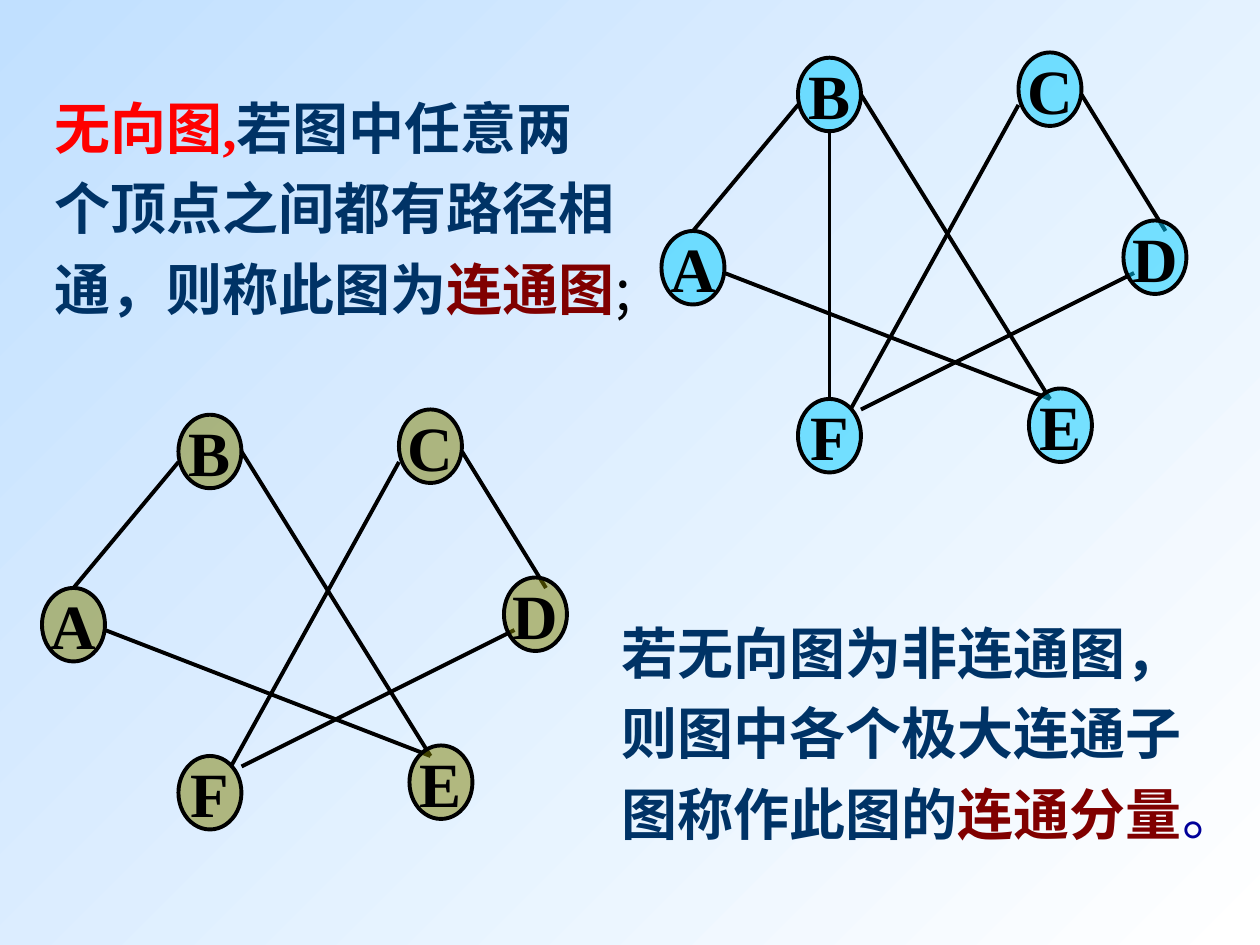
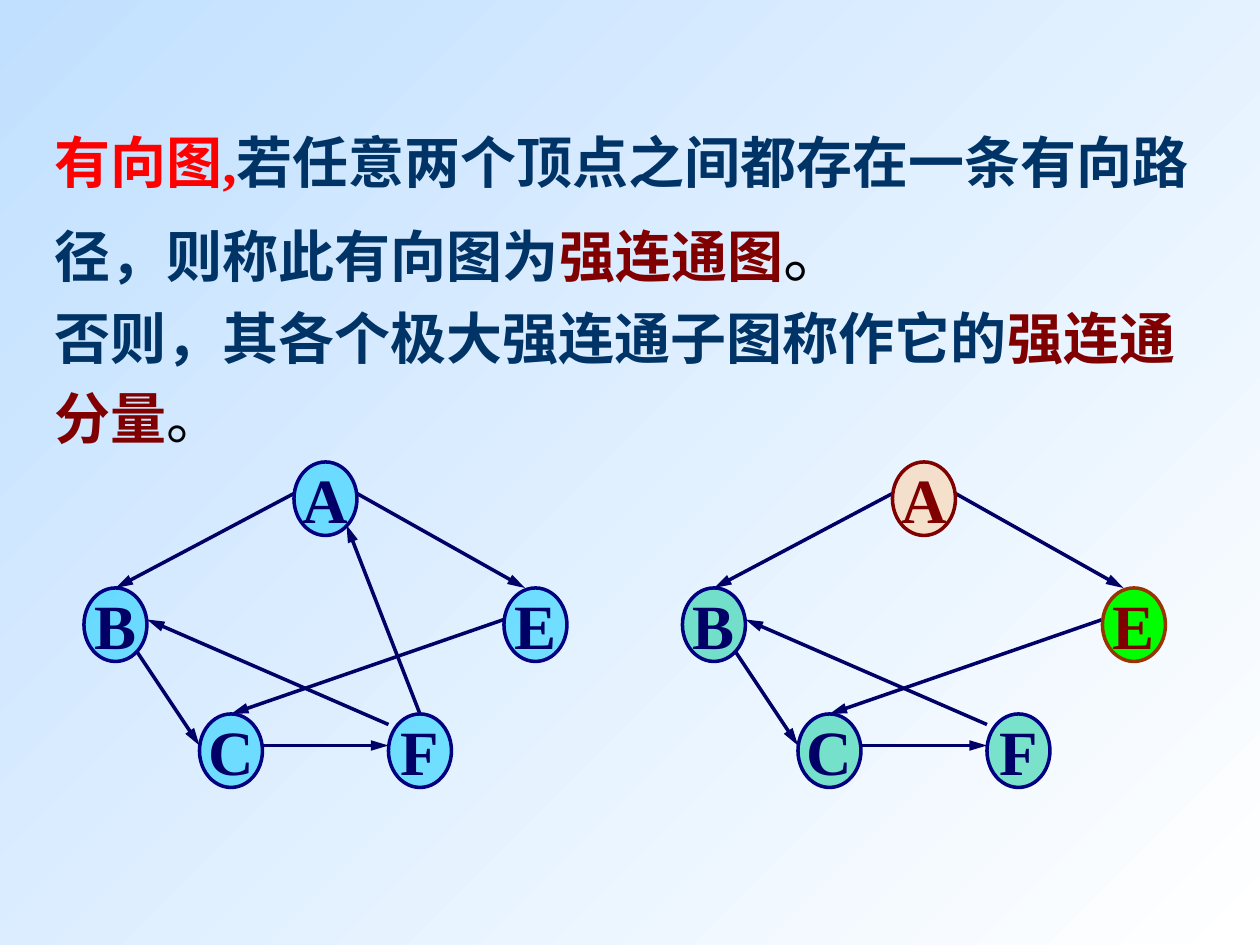
from dataclasses import dataclass

from lxml import etree
from pptx import Presentation
from pptx import util as u
from pptx.dml import color
from pptx.enum import shapes, text
from pptx.oxml import ns


@dataclass(frozen=True)
class Theme:
    latin: str = "Times New Roman"
    chinese: str = "Noto Sans CJK SC"
    white: str = "FFFFFF"
    sky: str = "C1E0FF"
    black: str = "000000"
    red: str = "FF0000"
    body: str = "003366"
    term: str = "800000"
    stop: str = "000099"
    ink: str = "000066"
    navy: str = "000080"
    cyan: str = "00CCFF"
    olive: str = "808000"
    teal: str = "00CC99"
    peach: str = "FFCC99"
    green: str = "00FF00"
    rust: str = "993300"
    body_size: int = 32
    node_size: int = 36


@dataclass(frozen=True)
class NodeStyle:
    fill: str
    line: str
    ink: str
    width: float = 2
    alpha: int = 50


THEME = Theme()
CELL = u.Inches(1) / 12
NODE_COLUMNS, NODE_ROWS = 6, 7

UNDIRECTED_NODES = {"A": (0, 17), "B": (13, 0.5), "C": (34, 0),
                    "D": (44, 16), "E": (35, 32), "F": (13, 33)}
UNDIRECTED_EDGES = {
    "AB": (3, 17, 13, 5), "BE": (19, 4, 37, 33), "AE": (6, 21, 37, 33),
    "CF": (34, 5, 18, 34), "CD": (40, 4, 48, 17), "DF": (45, 21, 19, 34),
    "BF": (16, 7.5, 16, 33),
}
DIRECTED_NODES = {"A": (20, 0), "B": (0, 12), "C": (11, 24), "E": (40, 12), "F": (29, 24)}
DIRECTED_EDGES = {
    "AB": (20, 3, 3, 12), "BC": (5, 18, 11, 27), "CF": (17, 27, 29, 27),
    "FA": (32, 24, 25, 6), "AE": (26, 3, 42, 12), "FB": (29, 25, 6, 15),
    "EC": (40, 15, 14, 24),
}


def rgb(value):
    return color.RGBColor.from_string(value)


def cells(*counts):
    return [round(count * CELL) for count in counts]


def add_element(parent, tag, **attributes):
    return etree.SubElement(parent, ns.qn(tag), **attributes)


def add_span(para, words, size=THEME.body_size, ink=THEME.body, bold=True, latin=THEME.latin):
    span = para.add_run()
    span.text = words
    span.font.size = u.Pt(size)
    span.font.bold = bold
    span.font.color.rgb = rgb(ink)
    span.font.name = latin
    add_element(span.font._element, "a:ea", typeface=THEME.chinese)


def add_statement(page, box, paragraphs):
    frame = page.shapes.add_textbox(*cells(*box)).text_frame
    frame.word_wrap = True
    frame.auto_size = text.MSO_AUTO_SIZE.SHAPE_TO_FIT_TEXT
    for index, (spacing, before, spans) in enumerate(paragraphs):
        para = frame.add_paragraph() if index else frame.paragraphs[0]
        para.line_spacing = spacing
        para.space_before = u.Pt(before)
        for words, style in spans:
            add_span(para, words, **style)


def add_edge(group, ends, ink, width, arrow):
    edge = group.shapes.add_connector(shapes.MSO_CONNECTOR.STRAIGHT, *cells(*ends))
    edge.line.color.rgb = rgb(ink)
    edge.line.width = u.Pt(width)
    if arrow:
        add_element(edge.line._get_or_add_ln(), "a:tailEnd", type="triangle", w="med", len="lg")
    add_element(edge._element.spPr, "a:effectLst")


def add_node(group, name, left, top, style):
    box = cells(left, top, NODE_COLUMNS, NODE_ROWS)
    node = group.shapes.add_shape(shapes.MSO_SHAPE.OVAL, *box)
    node.shadow.inherit = False
    node.fill.solid()
    node.fill.fore_color.rgb = rgb(style.fill)
    if style.alpha < 100:
        shade = node._element.spPr.find(ns.qn("a:solidFill"))[0]
        add_element(shade, "a:alpha", val=str(style.alpha * 1000))
    node.line.color.rgb = rgb(style.line)
    node.line.width = u.Pt(style.width)
    frame = node.text_frame
    frame.word_wrap = False
    frame.vertical_anchor = text.MSO_ANCHOR.MIDDLE
    para = frame.paragraphs[0]
    para.alignment = text.PP_ALIGN.CENTER
    add_span(para, name, size=THEME.node_size, ink=style.ink)


def add_graph(page, origin, nodes, edges, style, special=None, omit=(), arrow=False):
    left, top = origin
    group = page.shapes.add_group_shape()
    for pair, (x1, y1, x2, y2) in edges.items():
        if pair not in omit:
            ends = (left + x1, top + y1, left + x2, top + y2)
            add_edge(group, ends, style.ink, style.width, arrow)
    for name, (column, row) in nodes.items():
        add_node(group, name, left + column, top + row, (special or {}).get(name, style))


def build_undirected(page):
    add_statement(page, (4, 7, 57, 24), [
        (1.2, 0, [
            ("无向图,", {"ink": THEME.red}),
            ("若图中任意两个顶点之间都有路径相通，则称此图为", {"latin": THEME.chinese}),
            ("连通图", {"ink": THEME.term, "latin": THEME.chinese}),
            (";", {"ink": THEME.black, "bold": False, "latin": THEME.chinese}),
        ]),
    ])
    add_statement(page, (58, 57, 57, 24), [
        (1.2, 20, [
            ("若无向图为非连通图，则图中各个极大连通子图称作此图的", {}),
            ("连通分量", {"ink": THEME.term}),
            ("。", {"ink": THEME.stop, "bold": False}),
        ]),
    ])
    for origin, fill, omit in (((63, 5), THEME.cyan, ()), ((4, 39), THEME.olive, ("BF",))):
        style = NodeStyle(fill, THEME.black, THEME.black, width=2.25)
        add_graph(page, origin, UNDIRECTED_NODES, UNDIRECTED_EDGES, style, omit=omit)


def build_directed(page):
    add_statement(page, (4, 10, 112, 41.5), [
        (1.25, 0, [
            ("有向图,", {"ink": THEME.red}),
            ("若任意两个顶点之间都存在一条有向路径，则称此有向图为", {}),
            ("强连通图", {"ink": THEME.term}),
            ("。", {"ink": THEME.black, "bold": False, "size": THEME.node_size}),
        ]),
        (1.2, 0, [
            ("否则，其各个极大强连通子图称作它的", {}),
            ("强连通分量", {"ink": THEME.term}),
            ("。", {"ink": THEME.black, "bold": False}),
        ]),
    ])
    strong = NodeStyle(THEME.cyan, THEME.navy, THEME.ink)
    component = NodeStyle(THEME.teal, THEME.navy, THEME.ink)
    single = {"A": NodeStyle(THEME.peach, THEME.term, THEME.term),
              "E": NodeStyle(THEME.green, THEME.rust, THEME.term, alpha=100)}
    add_graph(page, (8, 44), DIRECTED_NODES, DIRECTED_EDGES, strong, arrow=True)
    add_graph(page, (65, 44), DIRECTED_NODES, DIRECTED_EDGES, component,
              special=single, omit=("FA",), arrow=True)


def paint_background(master):
    fill = master.background.fill
    fill.gradient()
    fill.gradient_angle = 135
    for stop, shade in zip(fill.gradient_stops, (THEME.white, THEME.sky)):
        stop.color.rgb = rgb(shade)


def main():
    deck = Presentation()
    deck.slide_width, deck.slide_height = cells(120, 90)
    paint_background(deck.slide_master)
    blank = deck.slide_layouts.get_by_name("Blank")
    for build in (build_undirected, build_directed):
        build(deck.slides.add_slide(blank))
    deck.save("out.pptx")


if __name__ == "__main__":
    main()
